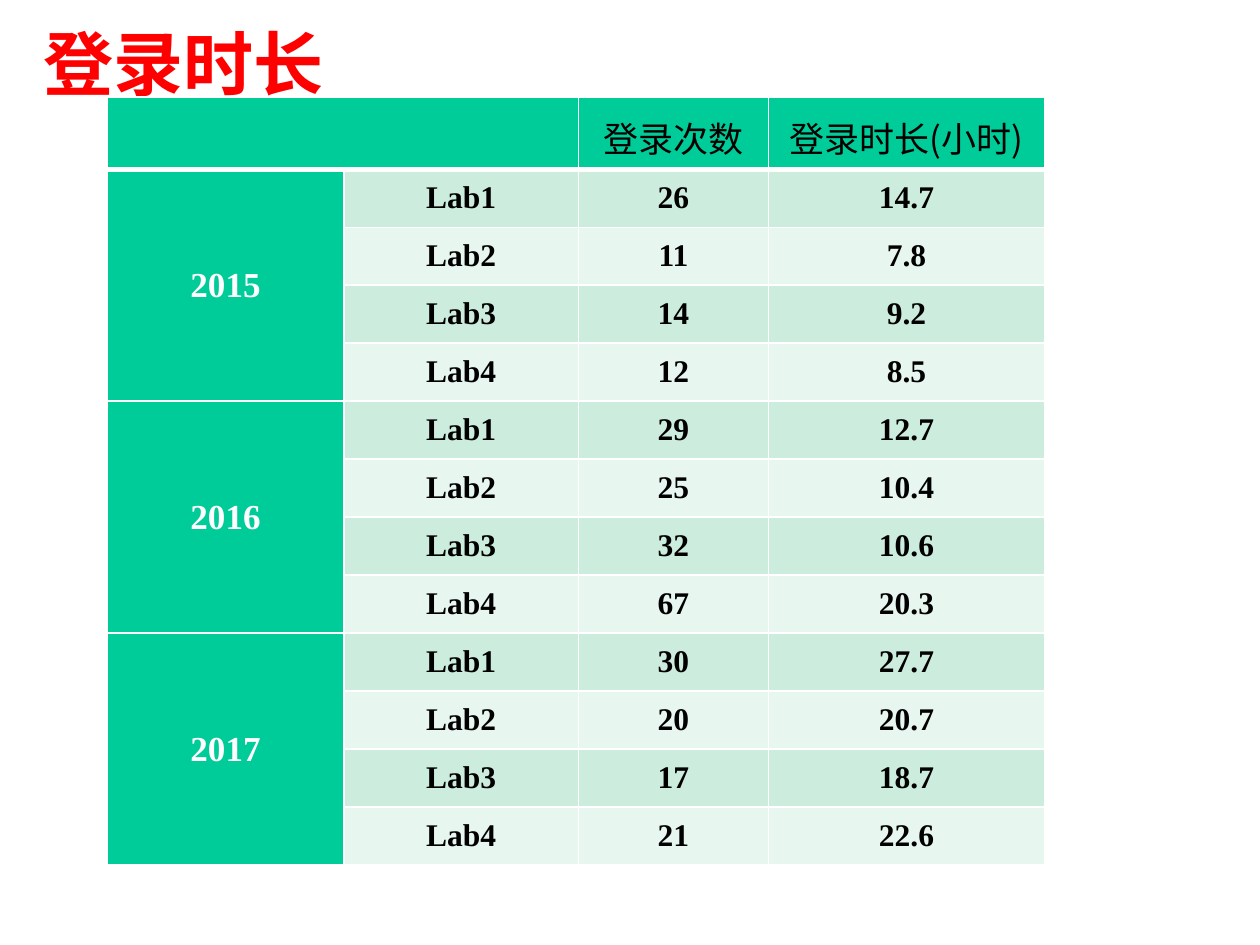
"""Build a slide with a table of logins and login hours by year and lab."""
from dataclasses import dataclass

from lxml.etree import SubElement as Sub
from pptx import Presentation
from pptx.dml.color import RGBColor as Rgb
from pptx.enum.text import MSO_ANCHOR as Anchor, PP_ALIGN as Align
from pptx.oxml.ns import qn
from pptx.table import Table, _Cell as Cell
from pptx.util import Inches, Pt


@dataclass(frozen=True)
class Theme:
    red: str = "FF0000"
    green: str = "00CC99"
    bands: tuple[str, str] = ("CCECDE", "E7F6EF")
    white: str = "FFFFFF"
    black: str = "000000"
    hans: str = "Noto Sans CJK SC"
    serif: str = "Times New Roman"
    title: int = 40
    head: int = 20
    body: int = 18


@dataclass(frozen=True)
class Style:
    font: str
    size: int
    color: str
    bold: bool
    fill: str = ""
    pad: float = 0
    rule: float = 1


@dataclass(frozen=True)
class Year:
    name: str
    labs: tuple[tuple[int, float], ...]


THEME = Theme()
TITLE = Style(THEME.hans, THEME.title, THEME.red, True)
HEAD = Style(THEME.hans, THEME.head, THEME.black, False, THEME.green, 0.12, 3)
SIDE = Style(THEME.serif, THEME.head, THEME.white, True, THEME.green)
BODY = [Style(THEME.serif, THEME.body, THEME.black, True, band, 0.08)
        for band in THEME.bands]

HEADS = ("", "", "登录次数", "登录时长(小时)")
YEARS = (
    Year("2015", ((26, 14.7), (11, 7.8), (14, 9.2), (12, 8.5))),
    Year("2016", ((29, 12.7), (25, 10.4), (32, 10.6), (67, 20.3))),
    Year("2017", ((30, 27.7), (20, 20.7), (17, 18.7), (21, 22.6))),
)
LABS = 4
COLS = (1.88, 1.86, 1.51, 2.19)
TALL, TOP = 6.05, 0.57


def write(para, text: str, style: Style) -> None:
    run = para.add_run()
    run.text = text
    font = run.font
    font.name, font.size, font.bold = style.font, Pt(style.size), style.bold
    font.color.rgb = Rgb.from_string(style.color)
    Sub(run._r.get_or_add_rPr(), qn("a:ea"), typeface=style.font)


def edge(cell: Cell, style: Style) -> None:
    props = cell._tc.get_or_add_tcPr()
    for side in "LRTB":
        width = style.rule if side == "B" else 1
        line = Sub(props, qn(f"a:ln{side}"), w=str(Pt(width)))
        Sub(Sub(line, qn("a:solidFill")), qn("a:srgbClr"), val=THEME.white)


def put(cell: Cell, text: str, style: Style) -> None:
    edge(cell, style)
    cell.fill.solid()
    cell.fill.fore_color.rgb = Rgb.from_string(style.fill)
    cell.vertical_anchor = Anchor.MIDDLE
    cell.margin_left = cell.margin_right = Inches(0.02)
    cell.margin_top = cell.margin_bottom = Inches(style.pad)
    para = cell.text_frame.paragraphs[0]
    para.alignment = Align.CENTER
    if text:
        write(para, text, style)


def fill(table: Table) -> None:
    for col, text in enumerate(HEADS):
        put(table.cell(0, col), text, HEAD)
    table.cell(0, 0).merge(table.cell(0, 1))
    for block, year in enumerate(YEARS):
        first = 1 + block * LABS
        for lab, (count, hours) in enumerate(year.labs):
            row = first + lab
            put(table.cell(row, 0), "" if lab else year.name, SIDE)
            texts = (f"Lab{lab + 1}", str(count), str(hours))
            for col, text in enumerate(texts, 1):
                put(table.cell(row, col), text, BODY[lab % 2])
        table.cell(first, 0).merge(table.cell(first + LABS - 1, 0))


def main() -> None:
    deck = Presentation()
    deck.slide_width, deck.slide_height = Inches(10), Inches(7.5)
    shapes = deck.slides.add_slide(deck.slide_layouts[6]).shapes

    box = shapes.add_textbox(Inches(0.25), Inches(0.21), Inches(9.18), Inches(0.58))
    frame = box.text_frame
    frame.word_wrap = True
    frame.vertical_anchor = Anchor.MIDDLE
    write(frame.paragraphs[0], "登录时长", TITLE)

    count = len(YEARS) * LABS
    table = shapes.add_table(count + 1, len(COLS), Inches(0.85), Inches(0.77),
                             Inches(sum(COLS)), Inches(TALL)).table
    table.first_row = table.horz_banding = False
    for col, width in zip(table.columns, COLS):
        col.width = Inches(width)
    for index, row in enumerate(table.rows):
        row.height = Inches((TALL - TOP) / count if index else TOP)
    fill(table)
    deck.save("out.pptx")


if __name__ == "__main__":
    main()
